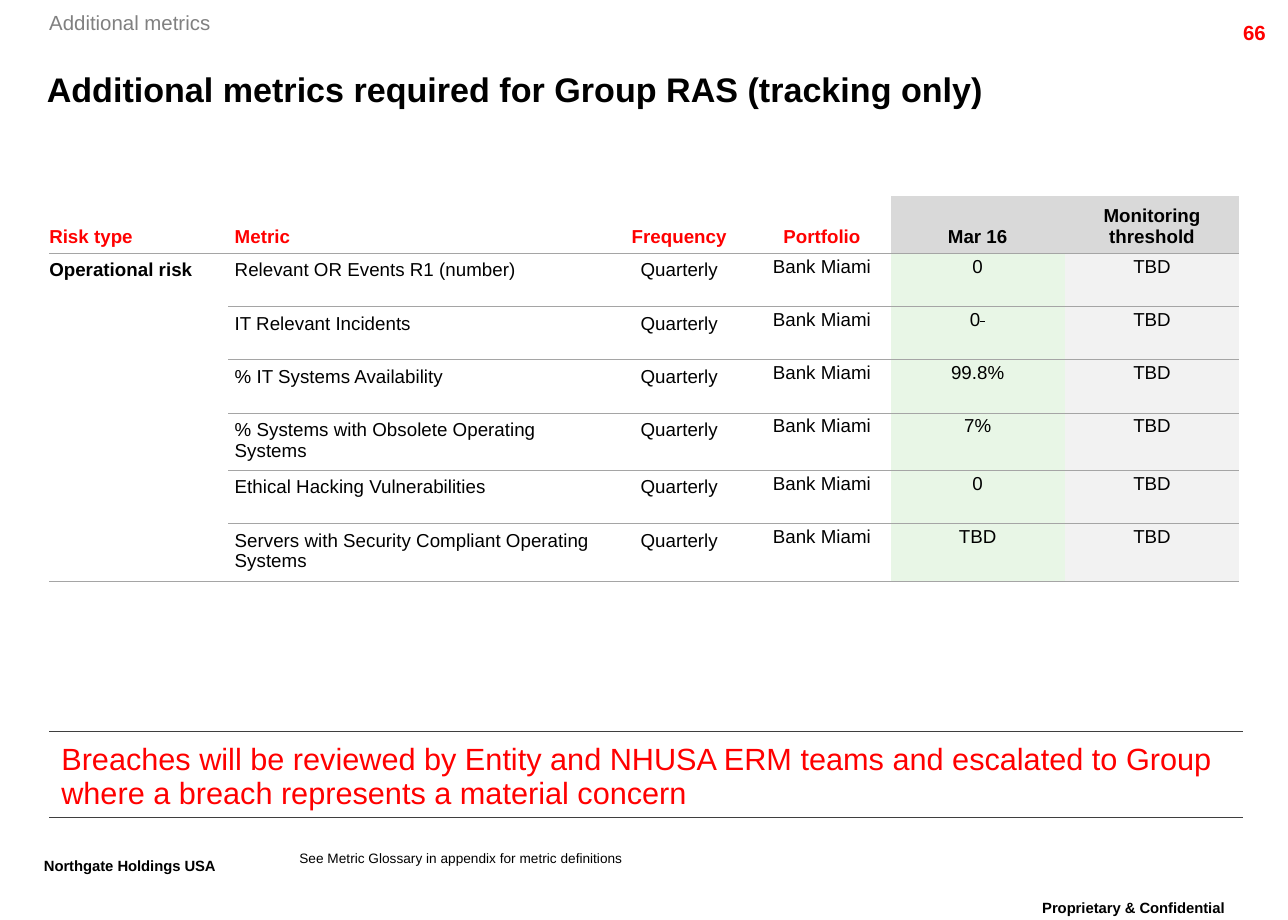
from lxml import etree
from pptx import Presentation
from pptx.dml.color import RGBColor
from pptx.enum.text import MSO_ANCHOR, PP_ALIGN
from pptx.oxml.ns import qn
from pptx.util import Cm, Pt

LEFT, CENTER, RIGHT = PP_ALIGN.LEFT, PP_ALIGN.CENTER, PP_ALIGN.RIGHT
TOP, MIDDLE, BOTTOM = MSO_ANCHOR.TOP, MSO_ANCHOR.MIDDLE, MSO_ANCHOR.BOTTOM
FONT = "Arial"
BLACK, RED, GREY = "000000", "FF0000", "808080"
RULE, DARK_RULE = "A5A5A5", "3F3F3F"
PLAIN_TABLE = "{2D5ABB26-0587-4C30-8999-92F81FD0307C}"

HEADERS = ["Risk type", "Metric", "Frequency", "Portfolio", "Mar 16",
           "Monitoring threshold"]
HEADER_FILLS = [None, None, None, None, "D9D9D9", "D9D9D9"]
BODY_FILLS = [None, None, None, None, "E8F6E6", "F2F2F2"]
ALIGNS = [LEFT, LEFT, CENTER, CENTER, CENTER, CENTER]
COL_WIDTHS = [3.71, 7.8, 3.07, 2.84, 3.61, 3.61]
ROW_HEIGHTS = [1.19, 1.1, 1.1, 1.1, 1.18, 1.1, 1.18]
METRICS = [
    ("Relevant OR Events R1 (number)", "0"),
    ("IT Relevant Incidents", "0"),
    ("% IT Systems Availability", "99.8%"),
    ("% Systems with Obsolete Operating Systems", "7%"),
    ("Ethical Hacking Vulnerabilities", "0"),
    ("Servers with Security Compliant Operating Systems", "TBD"),
]


def rgb(color):
    return RGBColor.from_string(color)


def add_run(p, text, size, color=BLACK, bold=False):
    r = p.add_run()
    r.text = text
    r.font.name = FONT
    r.font.size = Pt(size)
    r.font.bold = bold
    r.font.color.rgb = rgb(color)
    return r


def add_text(s, box, text, size, color=BLACK, bold=False, align=LEFT,
             anchor=TOP, inset=(0, 0), wrap=True):
    tf = s.shapes.add_textbox(*[Cm(v) for v in box]).text_frame
    tf.word_wrap = wrap
    tf.vertical_anchor = anchor
    tf.margin_left = tf.margin_right = Cm(inset[0])
    tf.margin_top = tf.margin_bottom = Cm(inset[1])
    p = tf.paragraphs[0]
    p.alignment = align
    return add_run(p, text, size, color, bold)


def add_raised_text(s, box, text, align, wrap):
    r = add_text(s, box, text, 15, bold=True, align=align,
                 inset=(0.25, 0.13), wrap=wrap)
    r.font._element.set("baseline", "30000")


def add_plain_table(s, left, top, widths, heights):
    frame = s.shapes.add_table(len(heights), len(widths), Cm(left), Cm(top),
                               Cm(sum(widths)), Cm(sum(heights)))
    table = frame.table
    table.first_row = table.horz_banding = False
    table._tbl.tblPr.find(qn("a:tableStyleId")).text = PLAIN_TABLE
    for col, width in zip(table.columns, widths):
        col.width = Cm(width)
    for row, height in zip(table.rows, heights):
        row.height = Cm(height)
    return table


def set_border(cell, side, color):
    tcPr = cell._tc.get_or_add_tcPr()
    ln = etree.SubElement(tcPr, qn("a:" + side), w=str(Pt(0.75)))
    fill = etree.SubElement(ln, qn("a:solidFill"))
    etree.SubElement(fill, qn("a:srgbClr"), val=color)


def set_fill(cell, color):
    if color:
        cell.fill.solid()
        cell.fill.fore_color.rgb = rgb(color)
    else:
        cell.fill.background()


def fill_cell(cell, text, size, color=BLACK, bold=False, align=LEFT,
              anchor=TOP, left=0.13, side=0.13):
    cell.margin_left, cell.margin_right = Cm(left), Cm(side)
    cell.margin_top = cell.margin_bottom = Cm(0.13)
    cell.vertical_anchor = anchor
    p = cell.text_frame.paragraphs[0]
    p.alignment = align
    add_run(p, text, size, color, bold)
    return p


def add_metrics_table(s):
    table = add_plain_table(s, 1.02, 4.06, COL_WIDTHS, ROW_HEIGHTS)
    last = len(METRICS)

    # Header row
    for c, header in enumerate(HEADERS):
        cell = table.cell(0, c)
        fill_cell(cell, header, 11, BLACK if HEADER_FILLS[c] else RED, True,
                  ALIGNS[c], BOTTOM, left=0.13 if c else 0)
        set_border(cell, "lnB", RULE)
        set_fill(cell, HEADER_FILLS[c])

    # Risk type, spanning all metrics
    risk = table.cell(1, 0)
    risk.merge(table.cell(last, 0))
    fill_cell(risk, "Operational risk", 11, bold=True, left=0)
    for cell in (risk, table.cell(last, 0)):
        set_border(cell, "lnB", RULE)
        set_fill(cell, None)

    # One row per metric
    for row, (metric, value) in enumerate(METRICS, 1):
        texts = [metric, "Quarterly", "Bank Miami", value, "TBD"]
        for c, text in enumerate(texts, 1):
            cell = table.cell(row, c)
            p = fill_cell(cell, text, 11, align=ALIGNS[c])
            if c >= 3:
                p.line_spacing = Pt(10)
            if metric == "IT Relevant Incidents" and text == value:
                r = add_run(p, " ", 11)
                r.font._element.set("strike", "sngStrike")
            set_border(cell, "lnB", RULE)
            set_fill(cell, BODY_FILLS[c])


def add_callout(s):
    table = add_plain_table(s, 1.02, 15.14, [24.71], [1.78])
    cell = table.cell(0, 0)
    fill_cell(cell, "Breaches will be reviewed by Entity and NHUSA ERM teams "
              "and escalated to Group where a breach represents a material "
              "concern", 18, RED, anchor=BOTTOM, left=0.25, side=0.25)
    for side in ("lnT", "lnB"):
        set_border(cell, side, DARK_RULE)
    set_fill(cell, None)


def main():
    prs = Presentation()
    prs.slide_width, prs.slide_height = Cm(26.67), Cm(19.05)
    s = prs.slides.add_slide(prs.slide_layouts[6])

    # Section label, page number and title
    add_text(s, (1.02, 0.2, 3.35, 0.51), "Additional metrics", 12, GREY,
             wrap=False)
    add_text(s, (23.77, 0.28, 2.54, 0.61), "66", 12, RED, True, RIGHT,
             inset=(0.1, 0.13))
    add_text(s, (0.97, 1.24, 24.08, 1.22),
             "Additional metrics required for Group RAS (tracking only)", 20,
             bold=True, anchor=MIDDLE)

    # Tables
    add_metrics_table(s)
    add_callout(s)

    # Footer
    add_raised_text(s, (0.66, 17.55, 4.85, 0.89), "Northgate Holdings USA",
                    LEFT, False)
    add_text(s, (6.2, 17.6, 13.89, 0.33),
             "See Metric Glossary in appendix for metric definitions", 8)
    add_raised_text(s, (20.7, 18.42, 5.54, 0.89), "Proprietary & Confidential",
                    CENTER, True)

    prs.save("out.pptx")


if __name__ == "__main__":
    main()
